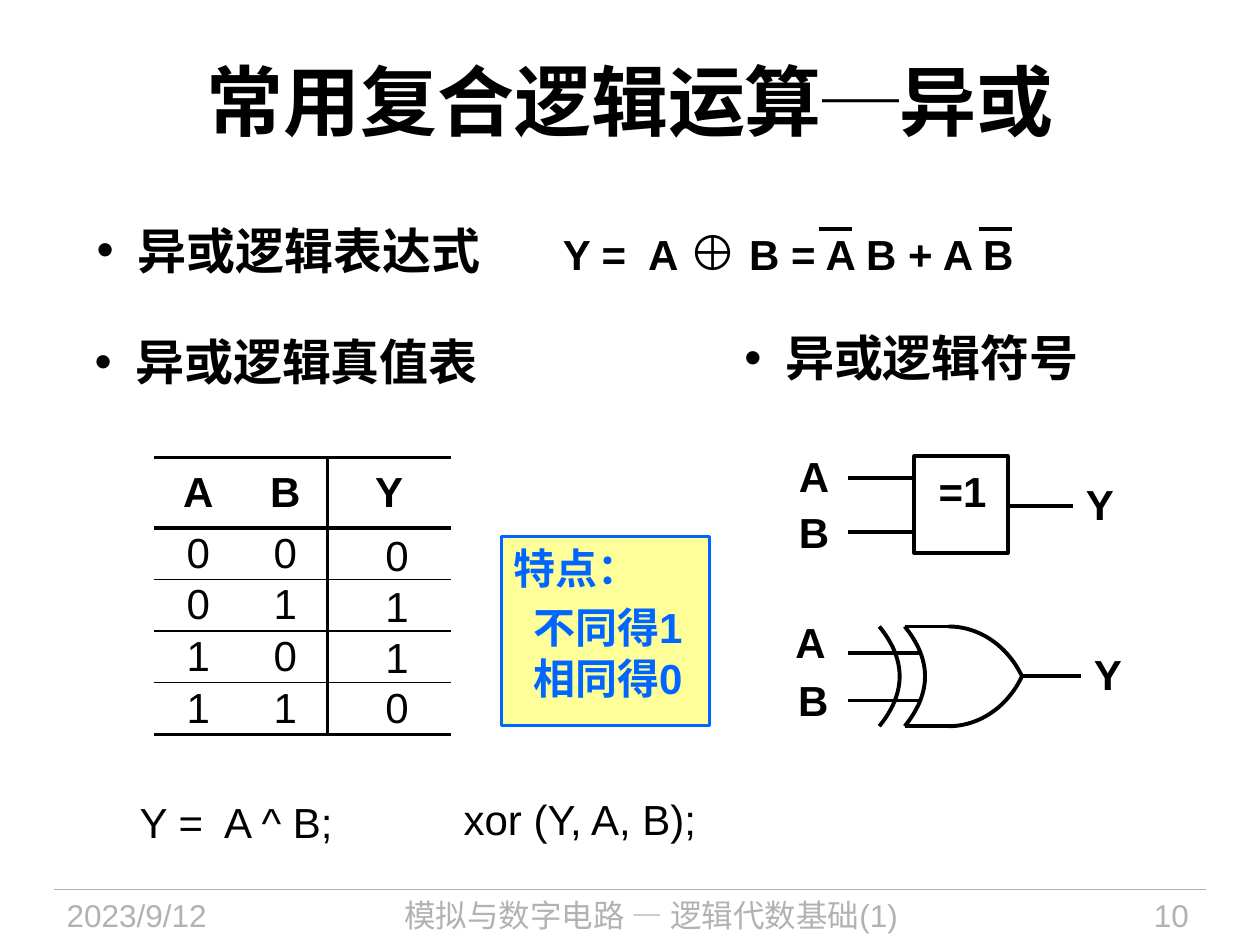
"""Build the slide on the exclusive-or operation."""
from lxml.etree import SubElement
from pptx import Presentation
from pptx.dml.color import RGBColor
from pptx.enum.shapes import MSO_CONNECTOR, MSO_SHAPE
from pptx.enum.text import MSO_ANCHOR, PP_ALIGN
from pptx.oxml.ns import qn
from pptx.util import Pt

LEFT, CENTER, RIGHT = PP_ALIGN.LEFT, PP_ALIGN.CENTER, PP_ALIGN.RIGHT
BLACK, GRAY, BLUE, YELLOW = "000000", "B2B2B2", "0066FF", "FFFF99"
CJK = "Noto Sans CJK SC"


def color(value):
    return RGBColor.from_string(value)


def write(paragraph, text, size=24, bold=False, fill=BLACK, font="Arial",
          align=LEFT, spacing=None, before=None, indent=0, bullet=False, tab=None):
    paragraph.alignment = align
    paragraph.line_spacing = spacing
    if before:
        paragraph.space_before = Pt(before)
    properties = paragraph._p.get_or_add_pPr()
    if indent:
        properties.set("marL", str(Pt(indent)))
    if bullet:
        properties.set("indent", str(-Pt(indent)))
        SubElement(properties, qn("a:buFont"), typeface="Arial")
        SubElement(properties, qn("a:buChar"), char="•")
    if tab:
        tabs = SubElement(properties, qn("a:tabLst"))
        SubElement(tabs, qn("a:tab"), pos=str(Pt(tab)), algn="l")
    run = paragraph.add_run()
    run.text = text
    run.font.size = Pt(size)
    run.font.bold = bold
    run.font.name = font
    run.font.color.rgb = color(fill)
    SubElement(run._r.get_or_add_rPr(), qn("a:ea"), typeface=CJK)


presentation = Presentation()
presentation.slide_width, presentation.slide_height = Pt(720), Pt(540)
slide = presentation.slides.add_slide(presentation.slide_layouts[6])
shapes = slide.shapes

bullet_format = dict(size=28, bold=True, font=CJK, bullet=True, indent=23.3)
label_format = dict(bold=True, align=CENTER, spacing=0.9)
footer_format = dict(size=18, fill=GRAY)
title_format = dict(size=44, bold=True, align=CENTER)
text_boxes = [
    (31, 508.3, 135, 32, True, ["2023/9/12"], footer_format),
    (179, 508.3, 386, 32, True, ["模拟与数字电路 — 逻辑代数基础(1)"],
     dict(footer_format, align=CENTER)),
    (590.4, 508.3, 96, 32, True, ["10"], dict(footer_format, align=RIGHT)),
    (36, 12.2, 648, 90, True, ["常用复合逻辑运算", ("─", dict(font="Times New Roman")), "异或"],
     title_format),
    (54, 193, 248, 30, False, ["异或逻辑真值表"], dict(bullet_format, spacing=0.9)),
    (48.2, 122.4, 240, 41, True, ["异或逻辑表达式"], bullet_format),
    (314.6, 123.1, 282, 41, True, ["Y =\tA ", ("⊕", dict(size=28)), " B = A B + A B"],
     dict(bold=True, tab=48.7)),
    (416.9, 190.8, 208, 30, False, ["异或逻辑符号"],
     dict(bullet_format, align=CENTER, spacing=0.9)),
    (450.7, 355.7, 25, 26, False, ["A"], label_format),
    (452.2, 388.8, 25, 26, False, ["B"], label_format),
    (620.6, 373.7, 25, 26, False, ["Y"], label_format),
    (456.5, 260.6, 17, 26, False, ["A"], label_format),
    (456.5, 293, 17, 26, False, ["B"], label_format),
    (620, 276.5, 17, 26, False, ["Y"], label_format),
    (530, 269.3, 40, 26, False, ["=1"], label_format),
    (72.7, 451.4, 140, 37, True, ["Y =\tA ^ B;"], dict(tab=48.3)),
    (257.8, 450, 160, 37, True, ["xor (Y, A, B);"], {}),
]
for left, top, width, height, inset, runs, text_format in text_boxes:
    frame = shapes.add_textbox(Pt(left), Pt(top), Pt(width), Pt(height)).text_frame
    frame.word_wrap = True
    if not inset:
        frame.margin_left = frame.margin_right = frame.margin_top = frame.margin_bottom = 0
    if text_format is title_format:
        frame.vertical_anchor = MSO_ANCHOR.MIDDLE
    for index, run in enumerate(runs):
        text, changes = (run, {}) if isinstance(run, str) else run
        run_format = dict(text_format, **changes)
        if index:
            run_format.pop("tab", None)
        write(frame.paragraphs[0], text, **run_format)

boxes = [
    (286.6, 306.7, 118.8, 108, YELLOW, BLUE, 1.5),
    (522.5, 260.6, 53.3, 55.5, None, BLACK, 2.25),
]
for left, top, width, height, fill, outline, weight in boxes:
    shape = shapes.add_shape(MSO_SHAPE.RECTANGLE, Pt(left), Pt(top), Pt(width), Pt(height))
    shape.shadow.inherit = False
    shape.line.color.rgb = color(outline)
    shape.line.width = Pt(weight)
    if fill is None:
        shape.fill.background()
        continue
    shape.fill.solid()
    shape.fill.fore_color.rgb = color(fill)
    frame = shape.text_frame
    frame.word_wrap = True
    frame.margin_right = 0
    frame.vertical_anchor = MSO_ANCHOR.TOP
    write(frame.paragraphs[0], "特点：", bold=True, fill=BLUE)
    for text, before in (("不同得1", 4.8), ("相同得0", None)):
        write(frame.add_paragraph(), text, bold=True, fill=BLUE, indent=11, before=before)

middle, half = 386.5, 28.5
lines = [
    (31, 508.3, 689, 508.3, GRAY, 0.75),
    (468, 131, 486.7, 131, BLACK, 2.25),
    (559.4, 131, 578.2, 131, BLACK, 2.25),
    (484.6, 273.4, 522.5, 273.4, BLACK, 2.25),
    (484.6, 304, 522.5, 304, BLACK, 2.25),
    (575.5, 289.2, 613.4, 289.2, BLACK, 2.25),
    (484.6, 373, 525.6, 373, BLACK, 2.25),
    (484.6, 400.3, 525.6, 400.3, BLACK, 2.25),
    (584, middle, 617.8, middle, BLACK, 2.25),
    (517, middle - half, 544, middle - half, BLACK, 2.25),
    (517, middle + half, 544, middle + half, BLACK, 2.25),
]
for start_x, start_y, end_x, end_y, stroke, weight in lines:
    connector = shapes.add_connector(
        MSO_CONNECTOR.STRAIGHT, Pt(start_x), Pt(start_y), Pt(end_x), Pt(end_y))
    connector.line.color.rgb = color(stroke)
    connector.line.width = Pt(weight)
    SubElement(connector._element.spPr, qn("a:effectLst"))

nose_curves = [
    [(542, middle + side * half), (560, middle + side * half),
     (576, middle + side * 17), (584, middle)] for side in (-1, 1)]
back_curves = [
    [(x, middle - half), (x + 15.5, middle - 9.5),
     (x + 15.5, middle + 9.5), (x, middle + half)] for x in (517, 502.5)]
steps = 24
for controls in nose_curves + back_curves:
    points = []
    for step in range(steps + 1):
        t = step / steps
        weights = ((1 - t) ** 3, 3 * t * (1 - t) ** 2, 3 * t * t * (1 - t), t ** 3)
        points.append(tuple(
            Pt(sum(weight * control[axis] for weight, control in zip(weights, controls)))
            for axis in (0, 1)))
    builder = shapes.build_freeform(*points[0])
    builder.add_line_segments(points[1:], close=False)
    curve = builder.convert_to_shape()
    curve.shadow.inherit = False
    curve.fill.background()
    curve.line.color.rgb = color(BLACK)
    curve.line.width = Pt(2.25)

truth_rows = [["A", "B", "Y"], ["0", "0", ""], ["0", "1", ""], ["1", "0", ""], ["1", "1", ""]]
result_rows = [["0"], ["1"], ["1"], ["0"]]
tables = [
    (87.8, 261.4, [51.1, 48.2, 70.6], [40.3] + [29.5] * 4, truth_rows, [2.25, 2.25, 1, 1, 1, 2.25]),
    (193, 303.8, [67.7], [29] * 4, result_rows, [0] * 5),
]
for left, top, widths, heights, rows, rules in tables:
    table = shapes.add_table(len(rows), len(widths), Pt(left), Pt(top),
                             Pt(sum(widths)), Pt(sum(heights))).table
    table.first_row = table.horz_banding = False
    for column, width in zip(table.columns, widths):
        column.width = Pt(width)
    for row_index, (values, height) in enumerate(zip(rows, heights)):
        table.rows[row_index].height = Pt(height)
        for column_index, value in enumerate(values):
            cell = table.cell(row_index, column_index)
            cell.margin_left = cell.margin_right = cell.margin_top = cell.margin_bottom = 0
            cell.vertical_anchor = MSO_ANCHOR.MIDDLE
            if value:
                write(cell.text_frame.paragraphs[0], value, bold=value.isalpha(), align=CENTER)
            borders = {
                "a:lnL": 2.25 if column_index == 2 else 0,
                "a:lnR": 2.25 if column_index == 1 else 0,
                "a:lnT": rules[row_index],
                "a:lnB": rules[row_index + 1],
            }
            for tag, weight in borders.items():
                border = SubElement(cell._tc.get_or_add_tcPr(), qn(tag), w=str(Pt(weight)))
                paint = SubElement(border, qn("a:solidFill" if weight else "a:noFill"))
                if weight:
                    SubElement(paint, qn("a:srgbClr"), val=BLACK)
            cell.fill.background()

presentation.save("out.pptx")
